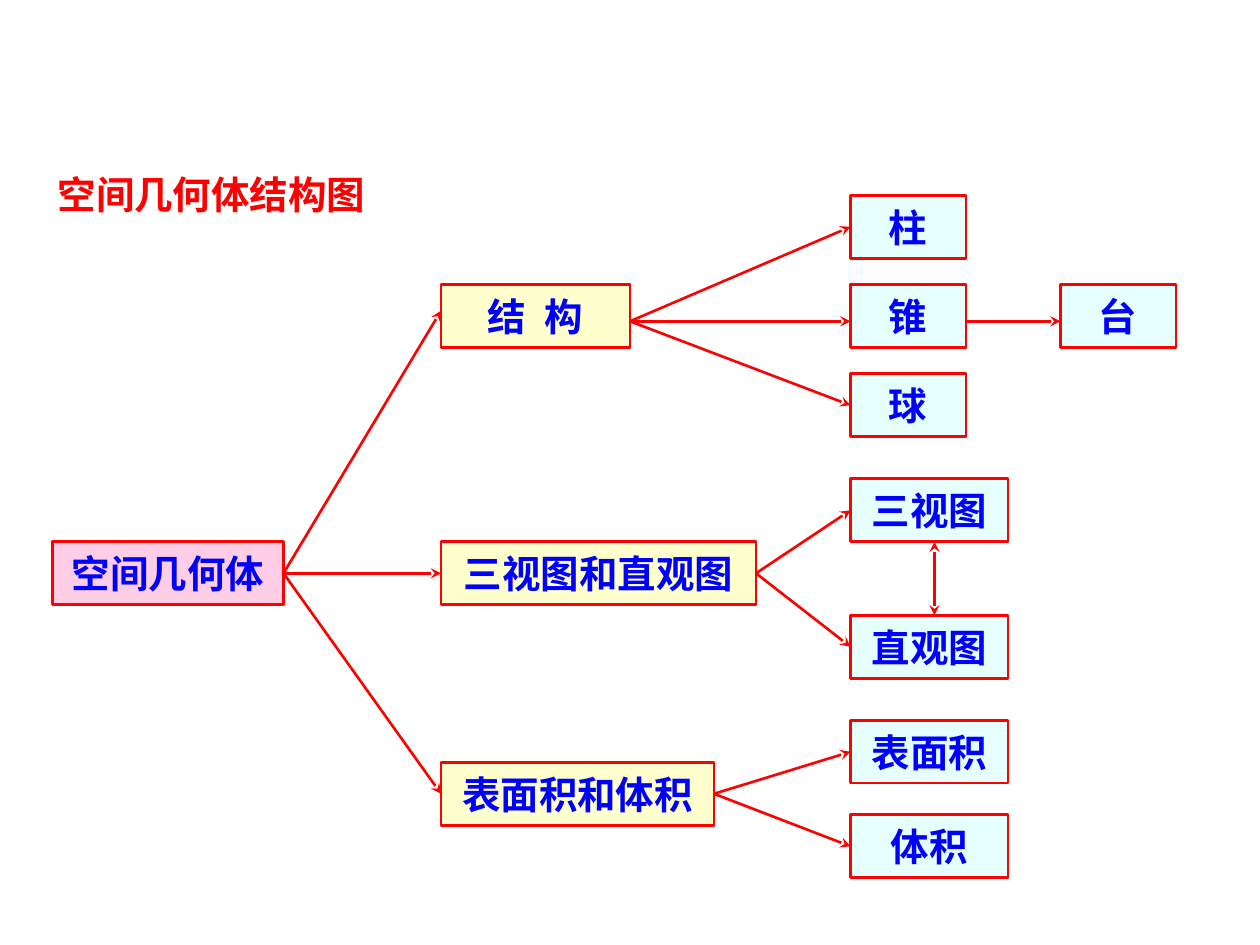
from dataclasses import dataclass

from lxml.etree import SubElement
from pptx import Presentation
from pptx.dml.color import RGBColor
from pptx.enum.shapes import MSO_CONNECTOR, MSO_SHAPE
from pptx.enum.text import MSO_ANCHOR, MSO_AUTO_SIZE, PP_ALIGN
from pptx.oxml.ns import qn
from pptx.util import Inches, Pt


@dataclass(frozen=True)
class Theme:
    root: str = "FF99CC"
    branch: str = "FFFF99"
    leaf: str = "CCFFFF"
    opacity: int = 49
    line: str = "FF0000"
    label: str = "0000FF"
    title: str = "FF0000"
    line_width: float = 1.5
    text_size: int = 22
    label_font: str = "Arial"
    chinese_font: str = "Noto Sans CJK SC"


THEME = Theme()
CELL = 1 / 12  # columns and rows, in inches
TOP = 1.55  # where row 0 begins
BOX_ROWS = 6
ROOT_COL, BRANCH_COL, LEAF_COL, DERIVED_COL = 5, 42, 81, 101
ONE_CHAR, THREE_CHARS = 11, 15

# text: (column, row, columns wide, fill)
TOPICS = {
    "空间几何体": (ROOT_COL, 33, 22, THEME.root),
    "结 构": (BRANCH_COL, 8.5, 18, THEME.branch),
    "三视图和直观图": (BRANCH_COL, 33, 30, THEME.branch),
    "表面积和体积": (BRANCH_COL, 54, 26, THEME.branch),
    "柱": (LEAF_COL, 0, ONE_CHAR, THEME.leaf),
    "锥": (LEAF_COL, 8.5, ONE_CHAR, THEME.leaf),
    "球": (LEAF_COL, 17, ONE_CHAR, THEME.leaf),
    "台": (DERIVED_COL, 8.5, ONE_CHAR, THEME.leaf),
    "三视图": (LEAF_COL, 27, THREE_CHARS, THEME.leaf),
    "直观图": (LEAF_COL, 40, THREE_CHARS, THEME.leaf),
    "表面积": (LEAF_COL, 50, THREE_CHARS, THEME.leaf),
    "体积": (LEAF_COL, 59, THREE_CHARS, THEME.leaf),
}
LETTER_SPACING = {"结 构": 3}

# from, to, rows below the middle at each end
LINKS = [
    ("空间几何体", "结 构", 0, -0.5),
    ("空间几何体", "三视图和直观图", 0, 0),
    ("空间几何体", "表面积和体积", 0, 0),
    ("结 构", "柱", 0.5, 0),
    ("结 构", "锥", 0.5, 0.5),
    ("结 构", "球", 0.5, 0),
    ("锥", "台", 0.5, 0.5),
    ("三视图和直观图", "三视图", 0, 0),
    ("三视图和直观图", "直观图", 0, 0),
    ("表面积和体积", "表面积", 0, 0),
    ("表面积和体积", "体积", 0, 0),
]


def x_at(col):
    return Inches(col * CELL)


def y_at(row):
    return Inches(TOP + row * CELL)


def style_line(line):
    line.color.rgb = RGBColor.from_string(THEME.line)
    line.width = Pt(THEME.line_width)


def style_text(paragraph, font_name, color, spacing=0):
    for run in paragraph.runs:
        run.font.name = font_name
        run.font.size = Pt(THEME.text_size)
        run.font.bold = True
        run.font.color.rgb = RGBColor.from_string(color)
        properties = run.font._element
        SubElement(properties, qn("a:ea"), typeface=THEME.chinese_font)
        if spacing:
            properties.set("spc", str(spacing * 100))


def add_topic(slide, text, col, row, cols, color):
    box = slide.shapes.add_shape(
        MSO_SHAPE.RECTANGLE, x_at(col), y_at(row), x_at(cols), x_at(BOX_ROWS))
    box.shadow.inherit = False
    box.fill.solid()
    box.fill.fore_color.rgb = RGBColor.from_string(color)
    tint = box._element.spPr.find(qn("a:solidFill")).find(qn("a:srgbClr"))
    SubElement(tint, qn("a:alpha"), val=str(THEME.opacity * 1000))
    style_line(box.line)
    frame = box.text_frame
    frame.word_wrap = False
    frame.vertical_anchor = MSO_ANCHOR.MIDDLE
    frame.text = text
    paragraph = frame.paragraphs[0]
    paragraph.alignment = PP_ALIGN.CENTER
    style_text(paragraph, THEME.label_font, THEME.label, LETTER_SPACING.get(text, 0))


def add_arrow(slide, start, end, both_ways=False):
    """Join two (column, row) points, with a head at the end or at both."""
    arrow = slide.shapes.add_connector(
        MSO_CONNECTOR.STRAIGHT, x_at(start[0]), y_at(start[1]), x_at(end[0]), y_at(end[1]))
    style_line(arrow.line)
    outline = arrow.line._get_or_add_ln()
    for head in ("a:headEnd", "a:tailEnd") if both_ways else ("a:tailEnd",):
        SubElement(outline, qn(head), type="stealth")
    SubElement(arrow._element.spPr, qn("a:effectLst"))


def add_link(slide, source, target, source_drop, target_drop):
    """Point from the right side of one topic to the left side of another."""
    source_col, source_row, source_cols, _ = TOPICS[source]
    target_col, target_row, _, _ = TOPICS[target]
    middle = BOX_ROWS / 2
    add_arrow(slide,
              (source_col + source_cols, source_row + middle + source_drop),
              (target_col, target_row + middle + target_drop))


def add_mutual_link(slide, upper, lower):
    col, upper_row, cols, _ = TOPICS[upper]
    lower_row = TOPICS[lower][1]
    center = col + round(cols / 2)
    add_arrow(slide, (center, upper_row + BOX_ROWS), (center, lower_row), both_ways=True)


def add_title(slide, text):
    title = slide.shapes.add_textbox(Inches(0.36), Inches(1.31), Inches(3.47), Inches(0.47))
    frame = title.text_frame
    frame.word_wrap = True
    frame.auto_size = MSO_AUTO_SIZE.SHAPE_TO_FIT_TEXT
    frame.text = text
    style_text(frame.paragraphs[0], THEME.chinese_font, THEME.title)


def main():
    deck = Presentation()
    deck.slide_width, deck.slide_height = Inches(10), Inches(7.5)
    slide = deck.slides.add_slide(deck.slide_layouts[6])
    for text, place in TOPICS.items():
        add_topic(slide, text, *place)
    for link in LINKS:
        add_link(slide, *link)
    add_mutual_link(slide, "三视图", "直观图")
    add_title(slide, "空间几何体结构图")
    deck.save("out.pptx")


if __name__ == "__main__":
    main()
